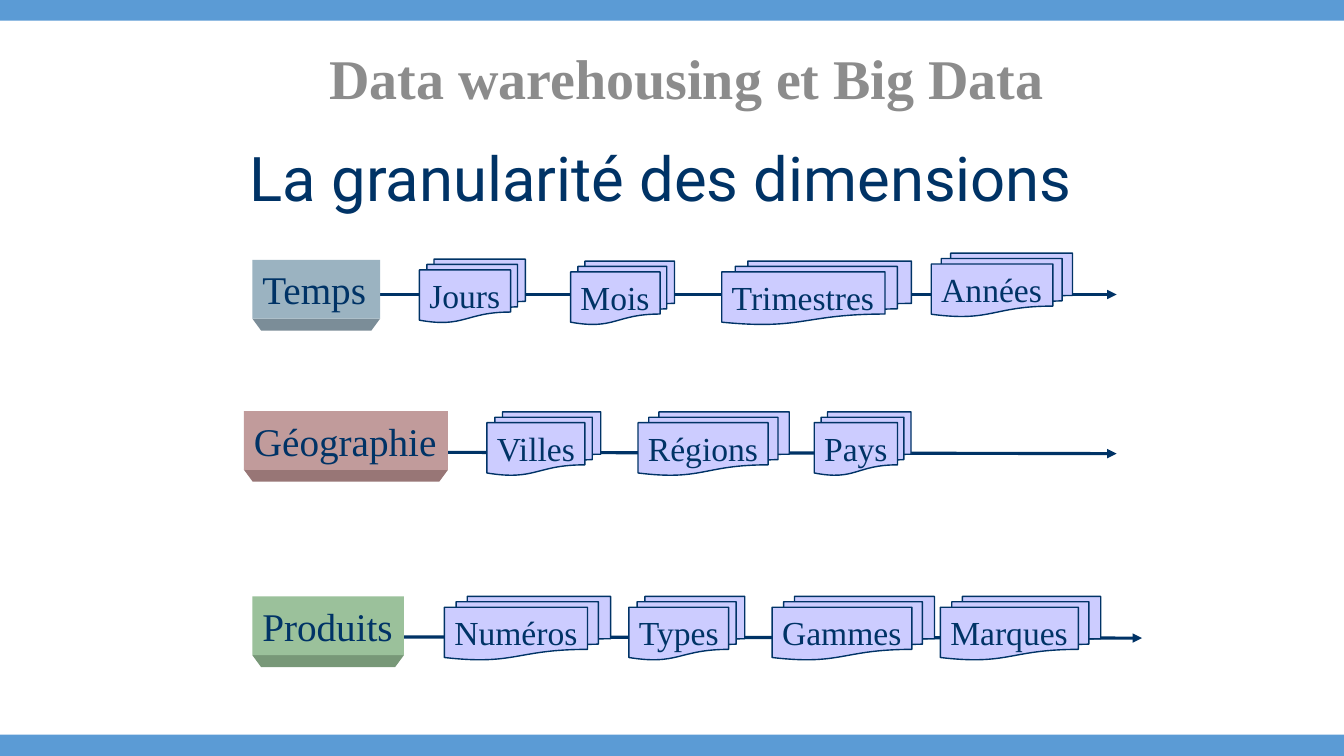
import pptx
import pptx.util
import pptx.dml.color
import pptx.enum.shapes
import pptx.enum.text
import pptx.oxml
import pptx.oxml.ns

Cm = pptx.util.Cm
RGBColor = pptx.dml.color.RGBColor
Shapes = pptx.enum.shapes.MSO_SHAPE
Align = pptx.enum.text.PP_ALIGN
Fit = pptx.enum.text.MSO_AUTO_SIZE
Anchor = pptx.enum.text.MSO_ANCHOR

NAVY = RGBColor(0x00, 0x33, 0x66)
LILAC = RGBColor(0xCC, 0xCC, 0xFF)
BLUE = RGBColor(0x5B, 0x9B, 0xD5)
GREY = RGBColor(0x8C, 0x8C, 0x8C)
SLATE, SLATE_DARK = RGBColor(0x9B, 0xB3, 0xC1), RGBColor(0x7B, 0x8D, 0x98)
ROSE, ROSE_DARK = RGBColor(0xC1, 0x9B, 0x9B), RGBColor(0x98, 0x76, 0x76)
GREEN, GREEN_DARK = RGBColor(0x9B, 0xC1, 0x9B), RGBColor(0x78, 0x98, 0x78)

SERIF = "Times New Roman"
HEADER_FONT = {"name": SERIF, "size": pptx.util.Pt(40), "bold": True}
TITLE_FONT = {"name": "Roboto", "size": pptx.util.Pt(44), "bold": False}
LABEL_FONT = {"name": SERIF, "size": pptx.util.Pt(28)}
LEVEL_FONT = {"name": SERIF, "size": pptx.util.Pt(24)}

PAGE_WIDTH, PAGE_HEIGHT = 33.87, 19.05
LABEL_HEIGHT, LEVEL_HEIGHT = 1.48, 1.6
BEVEL_HEIGHT, BEVEL_INSET = 0.3, 0.22

# Each level: name, left, width, offset from the top of its row
DIMENSIONS = [
    {"name": "Temps", "box": (6.36, 6.55, 3.22), "colors": (SLATE, SLATE_DARK),
     "arrow": (28.14, 0.87, 0.87),
     "levels": [("Jours", 10.57, 2.67, -0.02), ("Mois", 14.38, 2.62, 0.03),
                ("Trimestres", 18.19, 4.78, 0.03), ("Années", 23.47, 3.56, -0.17)]},
    {"name": "Géographie", "box": (6.15, 10.36, 5.14), "colors": (ROSE, ROSE_DARK),
     "arrow": (28.14, 1.04, 1.07),
     "levels": [("Villes", 12.27, 2.87, 0.02), ("Régions", 16.08, 3.81, 0.02),
                ("Pays", 20.52, 2.44, 0.02)]},
    {"name": "Produits", "box": (6.36, 15.03, 3.82), "colors": (GREEN, GREEN_DARK),
     "arrow": (28.78, 1.02, 1.05),
     "levels": [("Numéros", 11.2, 4.19, 0), ("Types", 15.85, 2.92, 0),
                ("Gammes", 19.46, 4.09, 0), ("Marques", 23.7, 4.04, 0)]},
]


def write_text(shape, text, font, color, align=Align.LEFT, **frame_settings):
    frame = shape.text_frame
    settings = {"word_wrap": True, "auto_size": Fit.NONE,
                "vertical_anchor": Anchor.MIDDLE, **frame_settings}
    for key, value in settings.items():
        setattr(frame, key, value)
    para = frame.paragraphs[0]
    para.alignment = align
    span = para.add_run()
    span.text = text
    for key, value in font.items():
        setattr(span.font, key, value)
    span.font.color.rgb = color
    return para


def paint(shape, fill, outline=None):
    shape.shadow.inherit = False
    shape.fill.solid()
    shape.fill.fore_color.rgb = fill
    if outline is None:
        shape.line.fill.background()
    else:
        shape.line.color.rgb = outline
        shape.line.width = pptx.util.Pt(1)


def add_box(page, kind, left, top, width, height, fill, outline=None):
    shape = page.shapes.add_shape(kind, Cm(left), Cm(top), Cm(width), Cm(height))
    paint(shape, fill, outline)
    return shape


def add_arrow(page, start_x, start_y, end_x, end_y):
    arrow = page.shapes.add_connector(
        pptx.enum.shapes.MSO_CONNECTOR.STRAIGHT,
        Cm(start_x), Cm(start_y), Cm(end_x), Cm(end_y))
    arrow.line.color.rgb = NAVY
    arrow.line.width = pptx.util.Pt(2.25)
    namespace = pptx.oxml.ns.nsdecls("a")
    arrow.line._get_or_add_ln().append(
        pptx.oxml.parse_xml(f'<a:tailEnd {namespace} type="triangle"/>'))
    arrow._element.spPr.append(pptx.oxml.parse_xml(f"<a:effectLst {namespace}/>"))


def add_label(page, name, left, top, width, front, side):
    """Name of the dimension on a block with a bevelled lower edge."""
    right, bottom = left + width, top + LABEL_HEIGHT
    low = bottom + BEVEL_HEIGHT
    outline = page.shapes.build_freeform(Cm(left), Cm(bottom), scale=1.0)
    outline.add_line_segments([
        (Cm(right), Cm(bottom)), (Cm(right - BEVEL_INSET), Cm(low)),
        (Cm(left + BEVEL_INSET), Cm(low))], close=True)
    paint(outline.convert_to_shape(), side)
    label = add_box(page, Shapes.RECTANGLE, left, top, width, LABEL_HEIGHT, front)
    write_text(label, name, LABEL_FONT, NAVY, word_wrap=False, margin_right=0)


def add_level(page, name, left, top, width):
    """Stack of cards; the narrow right margin keeps its name on one line."""
    card = add_box(page, Shapes.FLOWCHART_MULTIDOCUMENT, left, top,
                   width, LEVEL_HEIGHT, LILAC, NAVY)
    write_text(card, name, LEVEL_FONT, NAVY, word_wrap=False, margin_right=0,
               auto_size=Fit.SHAPE_TO_FIT_TEXT)


def add_dimension(page, name, box, colors, arrow, levels):
    """One row: an arrow, the label and its levels of detail."""
    left, top, width = box
    end_x, start_dy, end_dy = arrow
    add_arrow(page, left + width, top + start_dy, end_x, top + end_dy)
    add_label(page, name, left, top, width, *colors)
    for level, level_left, level_width, offset in levels:
        add_level(page, level, level_left, top + offset, level_width)


def add_heading(page):
    """Course header and slide title."""
    header = page.shapes.add_textbox(Cm(1.22), Cm(0.86), Cm(32.16), Cm(2.18))
    write_text(header, "Data warehousing et Big Data", HEADER_FONT, GREY, Align.CENTER)
    title = page.shapes.title
    place = {"left": 6.04, "top": 3.75, "width": 21.82, "height": 1.7}
    for key, value in place.items():
        setattr(title, key, Cm(value))
    para = write_text(title, "La granularité des dimensions", TITLE_FONT, NAVY)
    para.line_spacing = 0.85


def main():
    deck = pptx.Presentation()
    deck.slide_width, deck.slide_height = Cm(PAGE_WIDTH), Cm(PAGE_HEIGHT)
    page = deck.slides.add_slide(deck.slide_layouts.get_by_name("Title Only"))
    # Bands along the top and bottom edges
    for top in (-0.07, 18.51):
        add_box(page, Shapes.RECTANGLE, 0, top, PAGE_WIDTH, 0.59, BLUE)
    add_heading(page)
    for dimension in DIMENSIONS:
        add_dimension(page, **dimension)
    deck.save("out.pptx")


if __name__ == "__main__":
    main()
